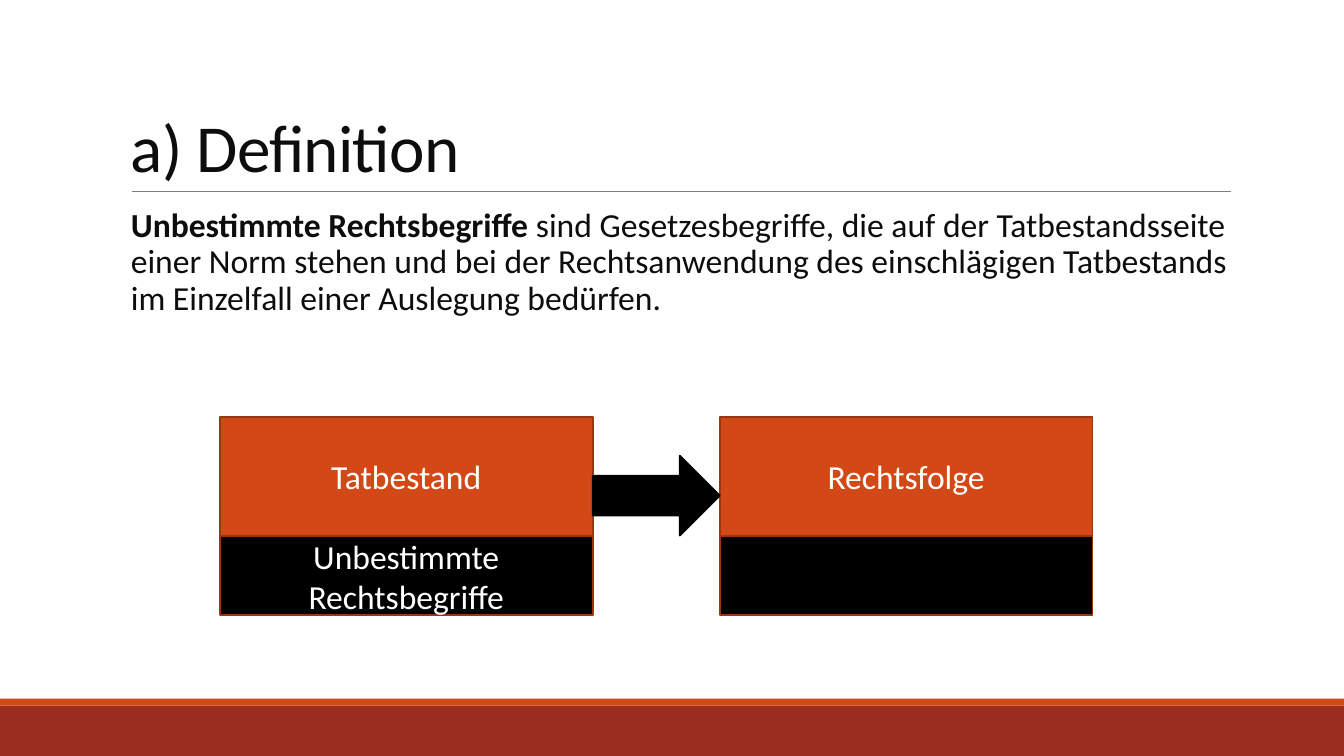
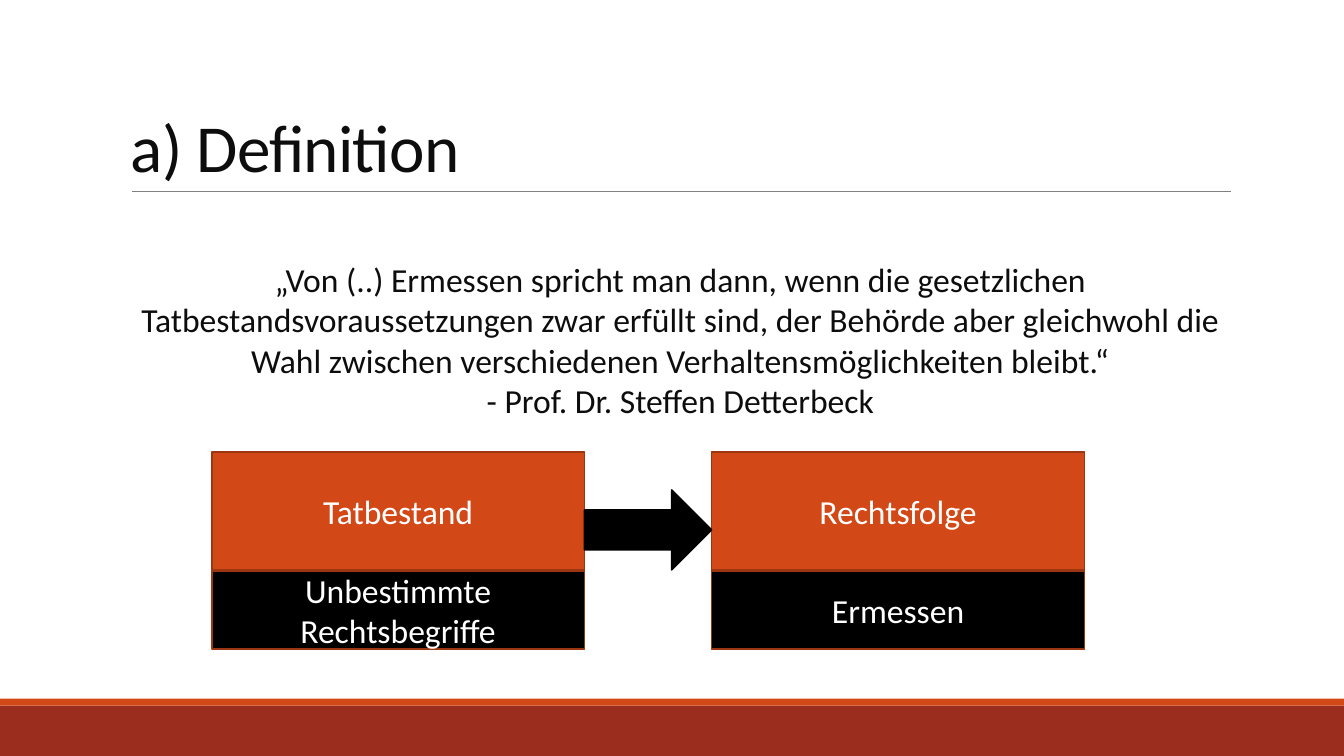
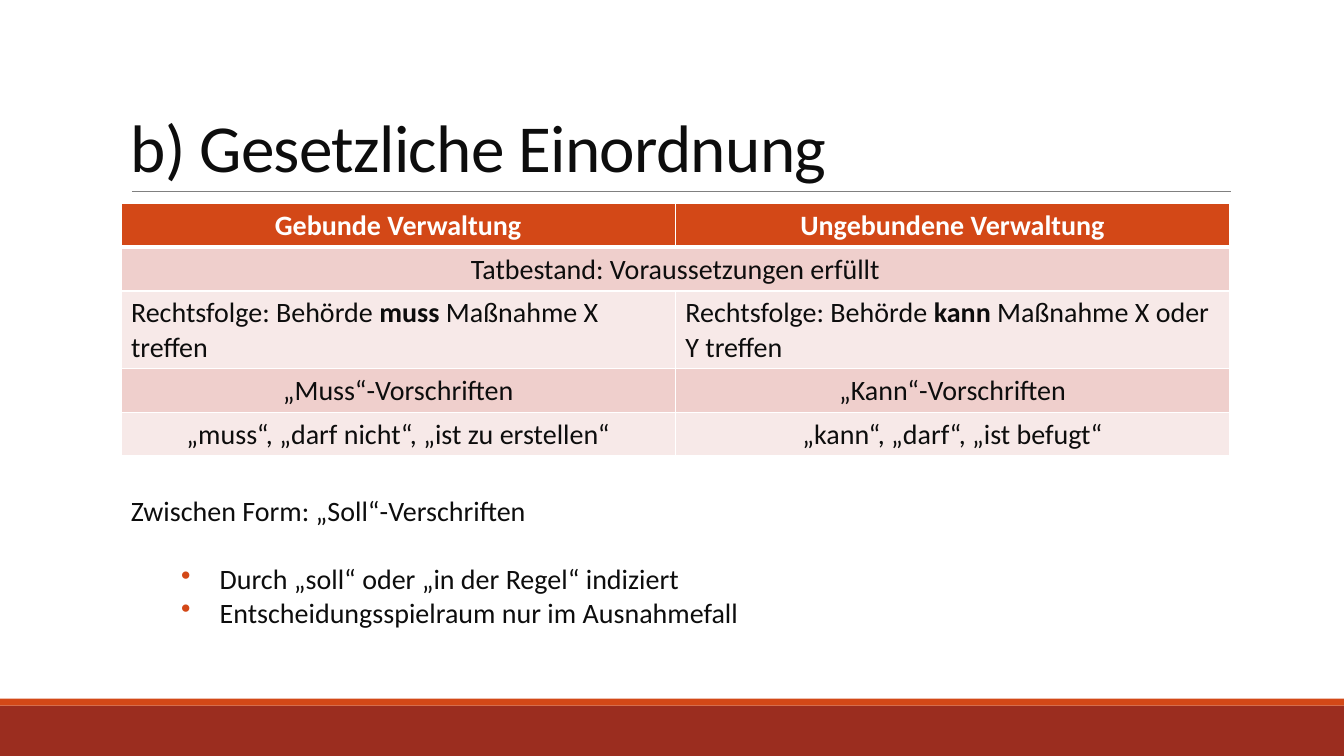
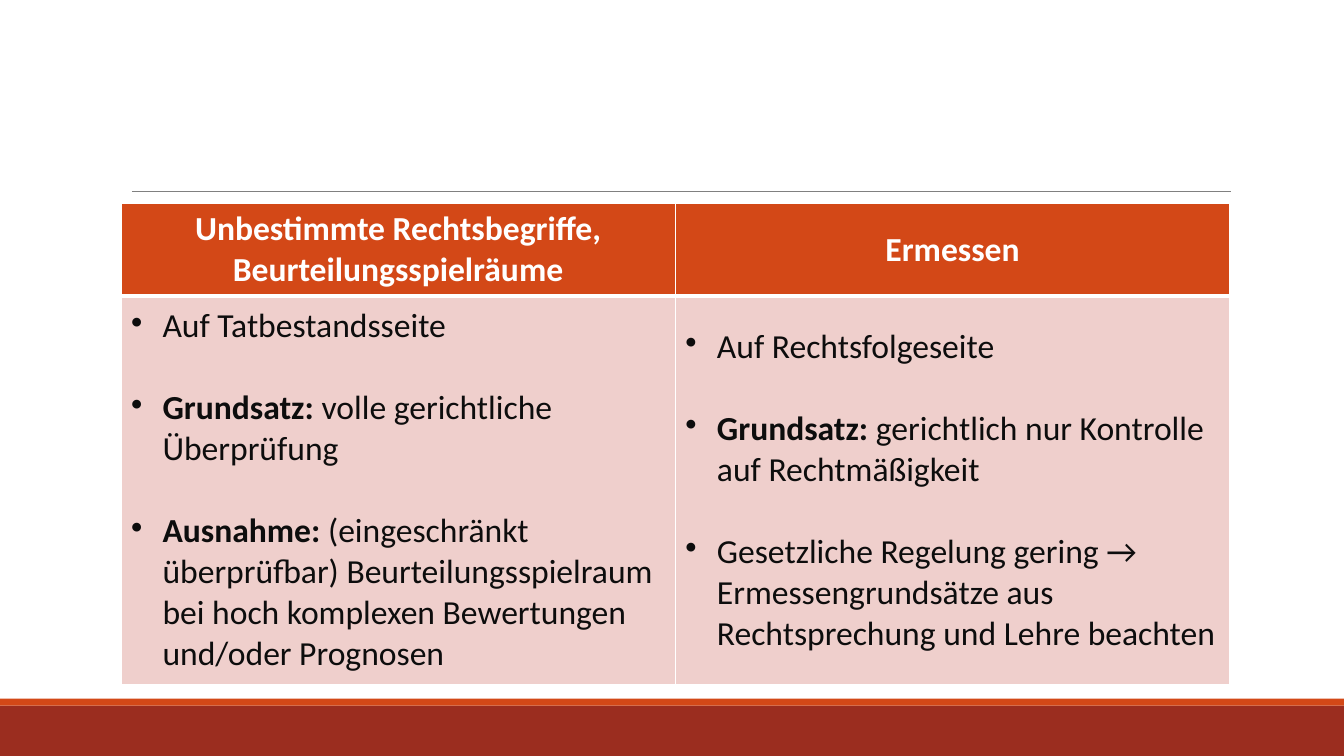
from lxml.etree import SubElement
from pptx import Presentation
from pptx.dml.color import RGBColor
from pptx.enum.shapes import MSO_CONNECTOR as Line, MSO_SHAPE as Shape
from pptx.enum.text import MSO_ANCHOR as Anchor, PP_ALIGN as Align
from pptx.oxml.ns import qn
from pptx.util import Pt

HEX = {"white": "FFFFFF", "black": "000000", "ink": "0D0D0D", "grey": "808080",
       "orange": "D34817", "edge": "9C3511", "brick": "9B2D1F",
       "rose": "EFCFCC", "pale": "F7E9E8"}
FONT = "Calibri"
WIDE, HIGH = 960, 540
LEFT, TOP, SPAN = 86.4, 145.4, 792
BANDS = [(504, 36, "brick"), (499, 5, "orange")]
RULE = (94.3, 879.1, 136.8)
BOX, CAP, BASE, STEP, ARROW = 266.4, 84.4, 56.2, 85, 90.7

# Text between asterisks is bold; a line feed is a line break.
DEFINE = "a) Definition"
TERM = ("*Unbestimmte Rechtsbegriffe* sind Gesetzesbegriffe, die auf der "
        "Tatbestandsseite einer Norm stehen und bei der Rechtsanwendung des "
        "einschlägigen Tatbestands im Einzelfall einer Auslegung bedürfen.")
QUOTE = ("„Von (..) Ermessen spricht man dann, wenn die gesetzlichen "
         "Tatbestandsvoraussetzungen zwar erfüllt sind, der Behörde aber "
         "gleichwohl die Wahl zwischen verschiedenen Verhaltensmöglichkeiten "
         "bleibt.“\n- Prof. Dr. Steffen Detterbeck")
FACTS, RESULT = "Tatbestand", "Rechtsfolge"
VAGUE, CHOICE = "Unbestimmte Rechtsbegriffe", "Ermessen"

ORDER = "b) Gesetzliche Einordnung"
RULES = [
    ("*Gebunde Verwaltung*", "*Ungebundene Verwaltung*"),
    ("Tatbestand: Voraussetzungen erfüllt", None),
    ("Rechtsfolge: Behörde *muss* Maßnahme X treffen",
     "Rechtsfolge: Behörde *kann* Maßnahme X oder Y treffen"),
    ("„Muss“-Vorschriften", "„Kann“-Vorschriften"),
    ("„muss“, „darf nicht“, „ist zu erstellen“", "„kann“, „darf“, „ist befugt“"),
]
SOLL = "Zwischen Form: „Soll“-Verschriften"
SIGNS = ["Durch „soll“ oder „in der Regel“ indiziert",
         "Entscheidungsspielraum nur im Ausnahmefall"]
HEADS = ["*Unbestimmte Rechtsbegriffe, Beurteilungsspielräume*", "*Ermessen*"]
POINTS = [
    ["Auf Tatbestandsseite",
     "*Grundsatz:* volle gerichtliche Überprüfung",
     "*Ausnahme:* (eingeschränkt überprüfbar) Beurteilungsspielraum bei hoch "
     "komplexen Bewertungen und/oder Prognosen"],
    ["Auf Rechtsfolgeseite",
     "*Grundsatz:* gerichtlich nur Kontrolle auf Rechtmäßigkeit",
     "Gesetzliche Regelung gering → Ermessengrundsätze aus Rechtsprechung und "
     "Lehre beachten"],
]


def rgb(name):
    return RGBColor.from_string(HEX[name])


def paint(fill, name):
    fill.solid()
    fill.fore_color.rgb = rgb(name)


def assign(obj, values):
    for key, value in values.items():
        setattr(obj, key, value)


def write(para, text, size=24, color="ink", track=None, **form):
    assign(para, form)
    for row, line in enumerate(text.split("\n")):
        if row:
            para.add_line_break()
        for turn, part in enumerate(line.split("*")):
            if not part:
                continue
            run = para.add_run()
            run.text = part
            assign(run.font, {"name": FONT, "size": Pt(size), "bold": turn % 2 == 1})
            run.font.color.rgb = rgb(color)
            if track:
                run.font._element.set("spc", str(track))


def bullet(para, indent, hang, color):
    props = para._p.get_or_add_pPr()
    props.set("marL", str(Pt(indent)))
    props.set("indent", str(-Pt(hang)))
    tone = SubElement(props, qn("a:buClr"))
    SubElement(tone, qn("a:srgbClr"), val=HEX[color])
    SubElement(props, qn("a:buChar"), char="•")


def textbox(slide, top, high, **form):
    frame = slide.shapes.add_textbox(Pt(LEFT), Pt(top), Pt(SPAN), Pt(high)).text_frame
    assign(frame, {"word_wrap": True, **form})
    return frame


def block(slide, kind, x, y, w, h, fill, edge=None, text=""):
    shape = slide.shapes.add_shape(kind, Pt(x), Pt(y), Pt(w), Pt(h))
    shape.shadow.inherit = False
    paint(shape.fill, fill)
    if edge:
        shape.line.color.rgb = rgb(edge)
        shape.line.width = Pt(1.25)
    else:
        shape.line.fill.background()
    if text:
        assign(shape.text_frame, {"word_wrap": True, "vertical_anchor": Anchor.MIDDLE})
        write(shape.text_frame.paragraphs[0], text, color="white",
              alignment=Align.CENTER)


def start(deck, title=None):
    """Add a slide with the bands, the rule and, if given, a title."""
    slide = deck.slides.add_slide(deck.slide_layouts[6])
    for y, h, color in BANDS:
        block(slide, Shape.RECTANGLE, 0, y, WIDE, h, color)
    x, end, y = RULE
    rule = slide.shapes.add_connector(Line.STRAIGHT, Pt(x), Pt(y), Pt(end), Pt(y))
    rule.line.color.rgb = rgb("grey")
    rule.line.width = Pt(0.5)
    SubElement(rule._element.spPr, qn("a:effectLst"))
    if title:
        frame = textbox(slide, 22.3, 114.5, vertical_anchor=Anchor.BOTTOM)
        write(frame.paragraphs[0], title, 48, track=-50, line_spacing=0.85)
    return slide


def flow(slide, x, y, pairs):
    """Draw two-part boxes side by side, joined by an arrow."""
    for col, (head, foot) in enumerate(pairs):
        left = x + col * (BOX + ARROW)
        block(slide, Shape.RECTANGLE, left, y, BOX, CAP, "orange", "edge", head)
        block(slide, Shape.RECTANGLE, left, y + STEP, BOX, BASE, "black", "edge", foot)
    block(slide, Shape.RIGHT_ARROW, x + BOX, y + 27.4, ARROW, 57, "black", "black")


def grid(slide, heights):
    """Add a two-column table with white borders and banded fills."""
    table = slide.shapes.add_table(len(heights), 2, Pt(LEFT), Pt(TOP), Pt(SPAN),
                                   Pt(sum(heights))).table
    for row, high in enumerate(heights):
        table.rows[row].height = Pt(high)
        thick = {0: "lnB", 1: "lnT"}.get(row)
        for cell in table.rows[row].cells:
            props = cell._tc.get_or_add_tcPr()
            for side in ("lnL", "lnR", "lnT", "lnB"):
                width = Pt(3 if side == thick else 1)
                edge = SubElement(props, qn("a:" + side), w=str(width))
                solid = SubElement(edge, qn("a:solidFill"))
                SubElement(solid, qn("a:srgbClr"), val=HEX["white"])
            paint(cell.fill, ("rose" if row % 2 else "pale") if row else "orange")
    return table


def term(deck):
    slide = start(deck, DEFINE)
    frame = textbox(slide, TOP, 317, margin_right=0)
    write(frame.paragraphs[0], TERM, line_spacing=0.9)
    flow(slide, 157, 298.1, [(FACTS, VAGUE), (RESULT, "")])


def quote(deck):
    slide = start(deck, DEFINE)
    frame = textbox(slide, 181.4, 281, margin_right=0)
    write(frame.paragraphs[0], QUOTE, alignment=Align.CENTER)
    flow(slide, 151.2, 322.6, [(FACTS, VAGUE), (RESULT, CHOICE)])


def order(deck):
    slide = start(deck, ORDER)
    table = grid(slide, [31, 31, 55.4, 31, 31])
    table.cell(1, 0).merge(table.cell(1, 1))
    for row, texts in enumerate(RULES):
        for col, text in enumerate(texts):
            if text:
                write(table.cell(row, col).text_frame.paragraphs[0], text, 20,
                      "ink" if row else "white",
                      alignment=Align.LEFT if row == 2 else Align.CENTER)
    frame = textbox(slide, 349.2, 104.4)
    write(frame.paragraphs[0], SOLL, 20, space_after=Pt(24.4))
    for sign in SIGNS:
        para = frame.add_paragraph()
        write(para, sign, 20)
        bullet(para, 63.4, 27.4, "orange")


def compare(deck):
    table = grid(start(deck), [62, 278])
    for col, (head, points) in enumerate(zip(HEADS, POINTS)):
        top, body = table.cell(0, col), table.cell(1, col)
        top.vertical_anchor = body.vertical_anchor = Anchor.MIDDLE
        write(top.text_frame.paragraphs[0], head, color="white",
              alignment=Align.CENTER)
        frame = body.text_frame
        for rank, point in enumerate(points):
            para = frame.add_paragraph() if rank else frame.paragraphs[0]
            write(para, point, space_before=Pt(29.3 if rank else 0))
            bullet(para, 22.5, 22.5, "ink")


def main():
    deck = Presentation()
    assign(deck, {"slide_width": Pt(WIDE), "slide_height": Pt(HIGH)})
    for build in (term, quote, order, compare):
        build(deck)
    deck.save("out.pptx")


if __name__ == "__main__":
    main()
